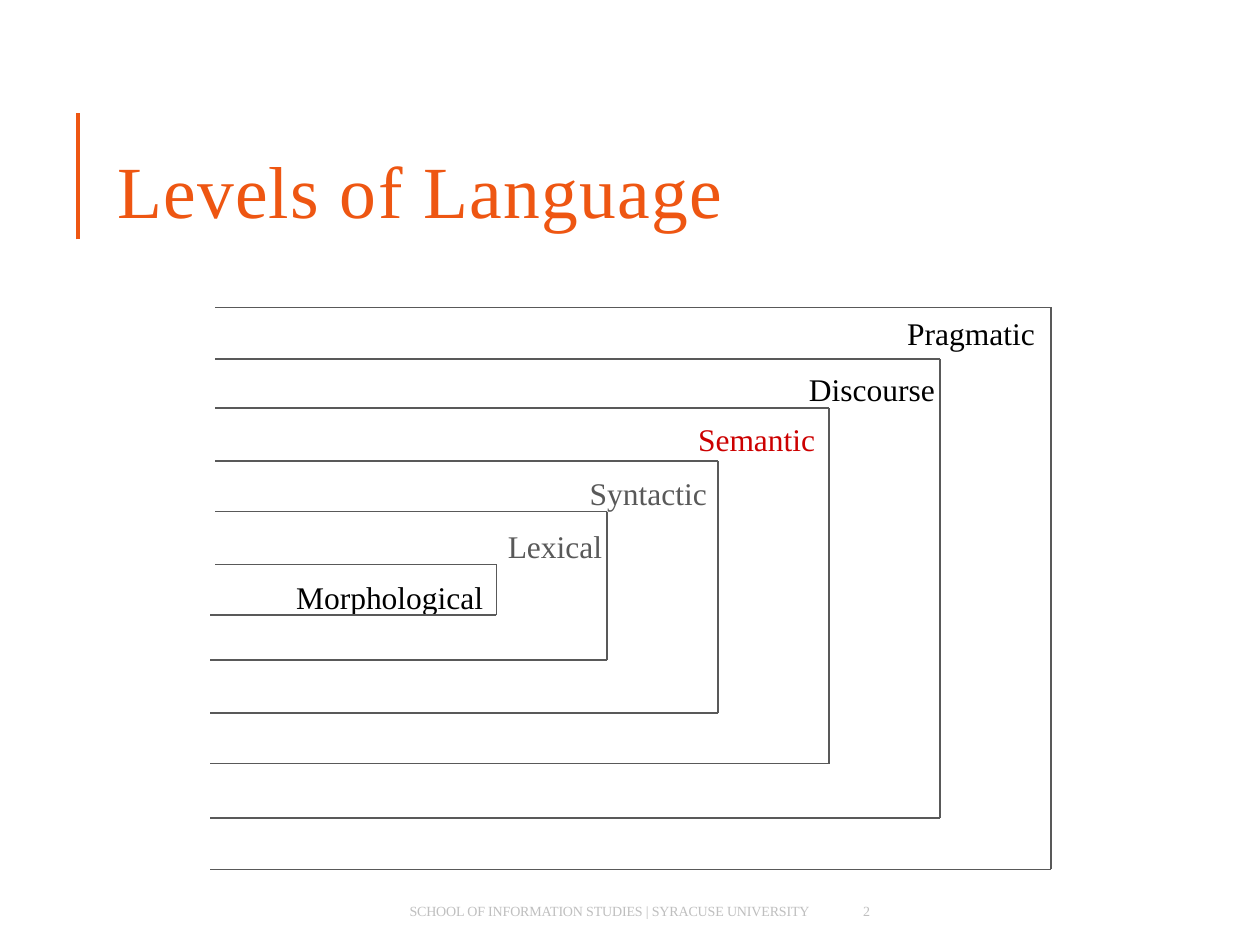
from dataclasses import dataclass

import pptx
import pptx.dml.color
import pptx.enum.shapes
import pptx.enum.text
import pptx.oxml.ns
import pptx.util
from lxml import etree

Inches = pptx.util.Inches
Pt = pptx.util.Pt


@dataclass(frozen=True)
class Theme:
    font: str = "Times New Roman"
    accent: str = "EE5612"
    line: str = "595959"
    black: str = "000000"
    highlight: str = "CC0000"
    muted: str = "595959"
    footer: str = "BFBFBF"
    title_size: float = 42
    label_size: float = 18
    footer_size: float = 8


@dataclass(frozen=True)
class Level:
    name: str
    color: str
    top: float
    bottom: float
    indent: float  # inches from the left edge of the list
    space_before: float  # points


THEME = Theme()

# Outermost level first
LEVELS = [
    Level("Pragmatic", THEME.black, 2.44, 6.9, 4.85, 0),
    Level("Discourse", THEME.black, 2.85, 6.49, 4.07, 10.7),
    Level("Semantic", THEME.highlight, 3.24, 6.06, 3.19, 6.7),
    Level("Syntactic", THEME.muted, 3.66, 5.66, 2.33, 9.6),
    Level("Lexical", THEME.muted, 4.06, 5.24, 1.68, 8.4),
    Level("Morphological", THEME.black, 4.48, 4.88, 0, 7.9),
]
OUTER_RIGHT, RIGHT_STEP = 8.34, 0.88
TOP_LEFT, BOTTOM_LEFT = 1.71, 1.67


def rgb(color):
    return pptx.dml.color.RGBColor.from_string(color)


def place(box, left, top, width, height, inset_left=0, inset_top=0):
    box.left, box.top = Inches(left), Inches(top)
    box.width, box.height = Inches(width), Inches(height)
    frame = box.text_frame
    frame.word_wrap = True
    frame.auto_size = pptx.enum.text.MSO_AUTO_SIZE.NONE
    frame.vertical_anchor = pptx.enum.text.MSO_ANCHOR.TOP
    frame.margin_left, frame.margin_top = Inches(inset_left), Inches(inset_top)
    frame.margin_right = frame.margin_bottom = 0
    return frame


def style(paragraph, size, color, tracking=0.0):
    paragraph.alignment = pptx.enum.text.PP_ALIGN.LEFT
    for run in paragraph.runs:
        run.font.name = THEME.font
        run.font.size = Pt(size)
        run.font.color.rgb = rgb(color)
        if tracking:
            run.font._element.set("spc", str(round(tracking * 100)))


def add_line(slide, start, end, color, width):
    line = slide.shapes.add_connector(
        pptx.enum.shapes.MSO_CONNECTOR.STRAIGHT,
        *(Inches(value) for value in (*start, *end)))
    line.line.color.rgb = rgb(color)
    line.line.width = Pt(width)
    etree.SubElement(line._element.spPr, pptx.oxml.ns.qn("a:effectLst"))


def add_title(slide, text):
    frame = place(slide.shapes.title, 0.93, 1.08, 4.9, 0.73, inset_top=0.07)
    frame.text = text
    style(frame.paragraphs[0], THEME.title_size, THEME.accent, 0.75)


def add_level_frame(slide, level, right):
    """Draw a bracket that is open on the left."""
    corners = [(TOP_LEFT, level.top), (right, level.top),
               (right, level.bottom), (BOTTOM_LEFT, level.bottom)]
    for start, end in zip(corners, corners[1:]):
        add_line(slide, start, end, THEME.line, 1)


def add_level_names(slide):
    frame = place(slide.placeholders[1], 2.35, 2.31, 5.88, 2.51, inset_top=0.18)
    frame.text = "\n".join(level.name for level in LEVELS)
    for paragraph, level in zip(frame.paragraphs, LEVELS):
        properties = paragraph._p.get_or_add_pPr()
        properties.set("marL", str(Inches(level.indent)))
        properties.set("indent", "0")
        etree.SubElement(properties, pptx.oxml.ns.qn("a:buNone"))
        paragraph.line_spacing = 1.0
        paragraph.space_before = Pt(level.space_before)
        style(paragraph, THEME.label_size, level.color)


def add_footer_text(slide, text, left, width, inset_left=0, tracking=0.0):
    box = slide.shapes.add_textbox(0, 0, 0, 0)
    frame = place(box, left, 7.16, width, 0.15, inset_left)
    frame.text = text
    style(frame.paragraphs[0], THEME.footer_size, THEME.footer, tracking)


def main():
    deck = pptx.Presentation()
    deck.slide_width, deck.slide_height = Inches(10), Inches(7.5)
    slide = deck.slides.add_slide(deck.slide_layouts[1])

    # Title with its accent rule
    add_line(slide, (0.62, 1.9), (0.62, 0.9), THEME.accent, 2)
    add_title(slide, "Levels of Language")

    # Nested levels
    for depth, level in enumerate(LEVELS):
        add_level_frame(slide, level, OUTER_RIGHT - depth * RIGHT_STEP)
    add_level_names(slide)

    # Footer
    add_footer_text(slide, "SCHOOL OF INFORMATION STUDIES | SYRACUSE UNIVERSITY",
                    3.24, 3.28, inset_left=0.01, tracking=-0.1)
    add_footer_text(slide, "2", 6.81, 0.19, inset_left=0.04)

    deck.save("out.pptx")


if __name__ == "__main__":
    main()
